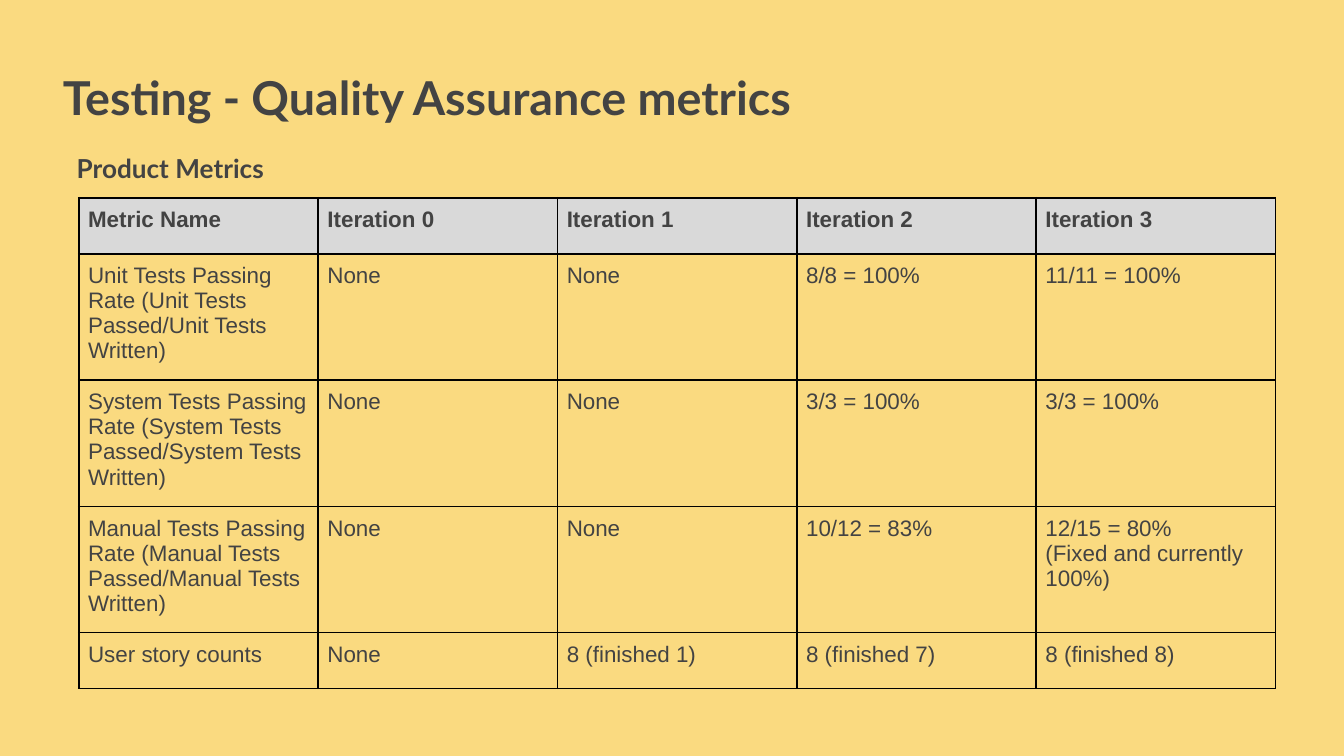
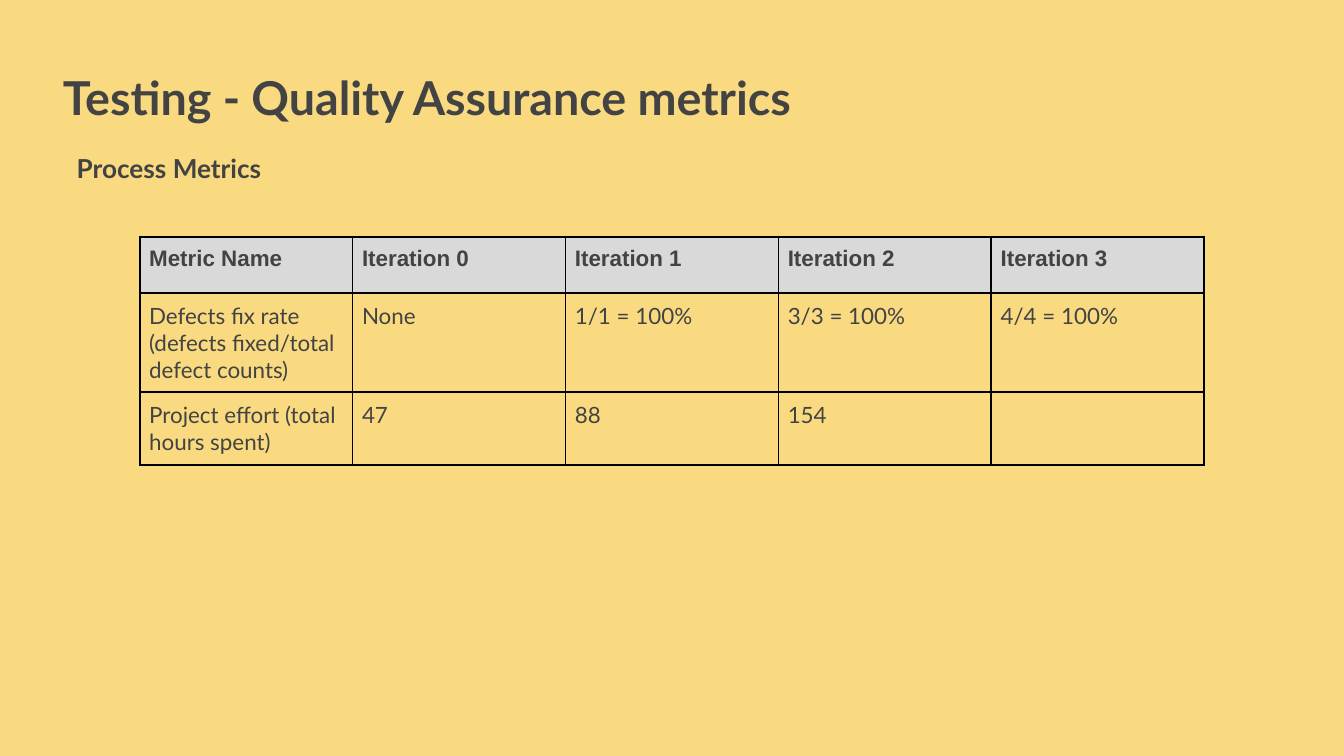
from lxml import etree
from pptx import Presentation
from pptx.dml.color import RGBColor
from pptx.enum.text import MSO_ANCHOR, MSO_AUTO_SIZE
from pptx.oxml.ns import qn
from pptx.util import Inches, Pt

TOP, BOTTOM = MSO_ANCHOR.TOP, MSO_ANCHOR.BOTTOM
FIT_SHAPE = MSO_AUTO_SIZE.SHAPE_TO_FIT_TEXT
SAND = RGBColor(0xFA, 0xDA, 0x80)
CHARCOAL = RGBColor(0x43, 0x43, 0x43)
SILVER = RGBColor(0xD9, 0xD9, 0xD9)
BLACK = RGBColor(0, 0, 0)
HEADING_FONT, TABLE_FONT = "Lato", "Arial"
SLIDE_WIDTH = Inches(10)
SLIDE_HEIGHT = SLIDE_WIDTH * 9 // 16
TEXT_INSET, CELL_INSET = Inches(0.1), Inches(0.07)
TITLE = "Testing - Quality Assurance metrics"
HEADER = ["Metric Name"] + [f"Iteration {number}" for number in range(4)]
HEADER_ROW = 7.41

PRODUCT_ROWS = [
    ["Unit Tests Passing Rate (Unit Tests Passed/Unit Tests Written)",
     "None", "None", "8/8 = 100%", "11/11 = 100%"],
    ["System Tests Passing Rate (System Tests Passed/System Tests Written)",
     "None", "None", "3/3 = 100%", "3/3 = 100%"],
    ["Manual Tests Passing Rate (Manual Tests Passed/Manual Tests Written)",
     "None", "None", "10/12 = 83%", "12/15 = 80%\n(Fixed and currently 100%)"],
    ["User story counts", "None", "8 (finished 1)", "8 (finished 7)", "8 (finished 8)"],
]
PROCESS_ROWS = [
    ["Defects fix rate (defects fixed/total defect counts)",
     "None", "1/1 = 100%", "3/3 = 100%", "4/4 = 100%"],
    ["Project effort (total hours spent)", "47", "88", "154", ""],
]


def across(percent):
    """Return a percentage of the slide width."""
    return round(SLIDE_WIDTH * percent / 100)


def down(percent):
    """Return a percentage of the slide height."""
    return round(SLIDE_HEIGHT * percent / 100)


def set_insets(holder, inset):
    """Give a text frame or cell the same inset on all sides."""
    holder.margin_left = holder.margin_right = inset
    holder.margin_top = holder.margin_bottom = inset


def write(frame, text, size, font, bold):
    """Fill a text frame, one paragraph per line of text."""
    for index, line in enumerate(text.split("\n")):
        para = frame.paragraphs[0] if index == 0 else frame.add_paragraph()
        para.font.size = Pt(size)
        if line:
            span = para.add_run()
            span.text = line
            span.font.name = font
            span.font.size = Pt(size)
            span.font.bold = bold
            span.font.color.rgb = CHARCOAL


def add_heading(page, text, left, top, width, height, size, anchor):
    """Add a bold heading placed by percentages of the slide."""
    box = page.shapes.add_textbox(across(left), down(top), across(width), down(height))
    frame = box.text_frame
    frame.word_wrap = True
    frame.vertical_anchor = anchor
    set_insets(frame, TEXT_INSET)
    write(frame, text, size, HEADING_FONT, True)
    return frame


def add_borders(cell):
    """Draw a one-point black line on each side of a cell."""
    properties = cell._tc.get_or_add_tcPr()
    for side in ("a:lnL", "a:lnR", "a:lnT", "a:lnB"):
        line = etree.SubElement(properties, qn(side), w=str(Pt(1)))
        fill = etree.SubElement(line, qn("a:solidFill"))
        etree.SubElement(fill, qn("a:srgbClr"), val=str(BLACK))


def add_metrics_table(page, rows, left, top, width, row_heights, body_font):
    """Add a bordered table with a header row and equal columns."""
    grid = [HEADER] + rows
    heights = [HEADER_ROW] + row_heights
    table = page.shapes.add_table(len(grid), len(HEADER), across(left), down(top),
                                  across(width), down(sum(heights))).table
    table.first_row = table.horz_banding = False
    for column in table.columns:
        column.width = across(width / len(HEADER))
    for row_index, (texts, height) in enumerate(zip(grid, heights)):
        table.rows[row_index].height = down(height)
        is_header = row_index == 0
        for column_index, text in enumerate(texts):
            cell = table.cell(row_index, column_index)
            set_insets(cell, CELL_INSET)
            add_borders(cell)
            if is_header:
                cell.fill.solid()
                cell.fill.fore_color.rgb = SILVER
            else:
                cell.fill.background()
            write(cell.text_frame, text, 12, TABLE_FONT if is_header else body_font, is_header)


def add_metrics_page(deck, subtitle):
    """Add a sand-coloured slide with the shared title and a subtitle."""
    page = deck.slides.add_slide(deck.slide_layouts[6])
    page.background.fill.solid()
    page.background.fill.fore_color.rgb = SAND
    add_heading(page, TITLE, 3.7, 9.25, 66.7, 9.07, 25, BOTTOM)
    frame = add_heading(page, subtitle, 4.72, 18.36, 18.3, 7.83, 14, TOP)
    frame.auto_size = FIT_SHAPE
    return page


def main():
    """Build and save the deck."""
    deck = Presentation()
    deck.slide_width, deck.slide_height = SLIDE_WIDTH, SLIDE_HEIGHT
    product_page = add_metrics_page(deck, "Product Metrics")
    add_metrics_table(product_page, PRODUCT_ROWS, 5.86, 26.16, 89.05,
                      [16.67] * 3 + [HEADER_ROW], TABLE_FONT)
    process_page = add_metrics_page(deck, "Process Metrics")
    add_metrics_table(process_page, PROCESS_ROWS, 10.4, 31.32, 79.2,
                      [13.1, 9.58], HEADING_FONT)
    deck.save("out.pptx")


if __name__ == "__main__":
    main()
